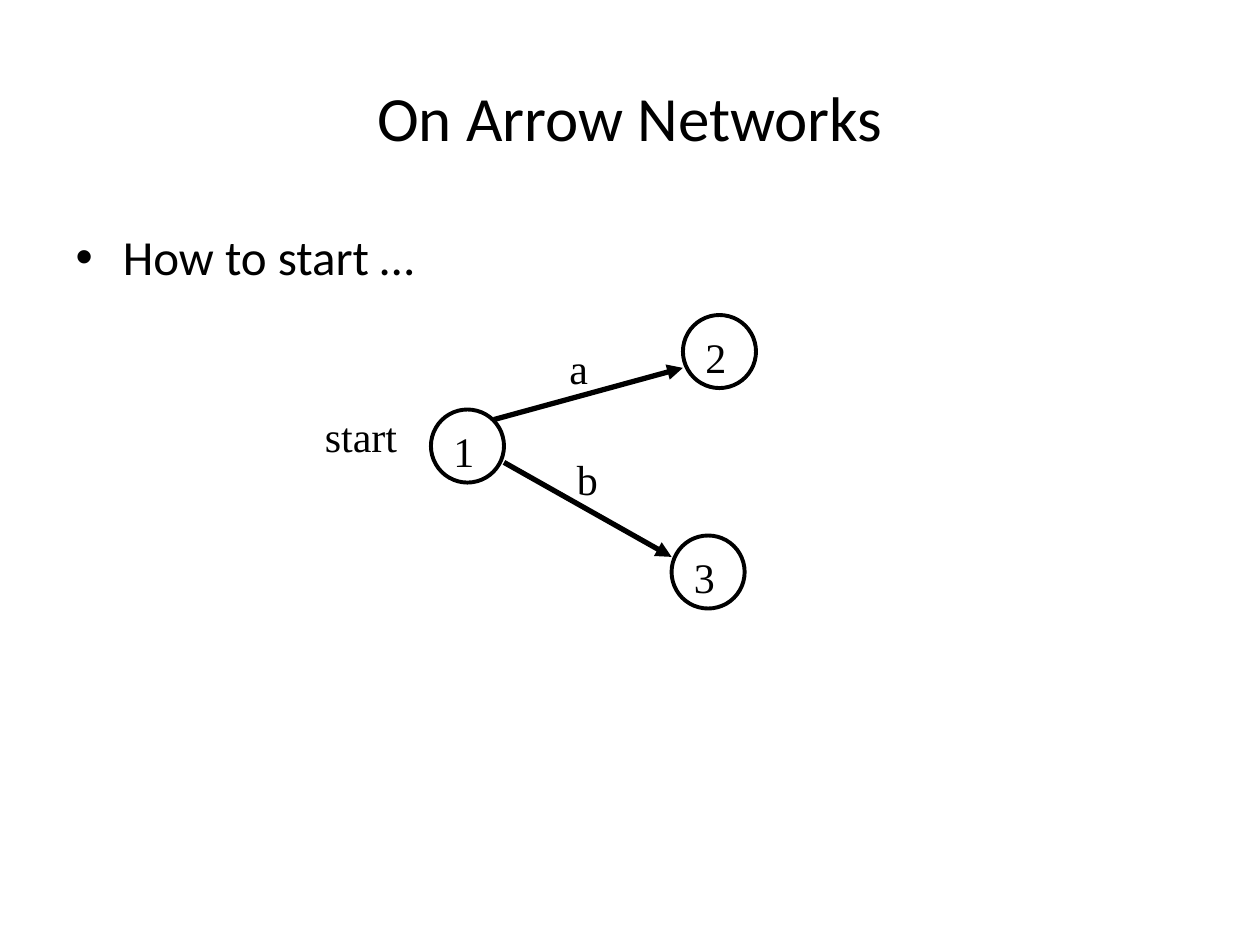
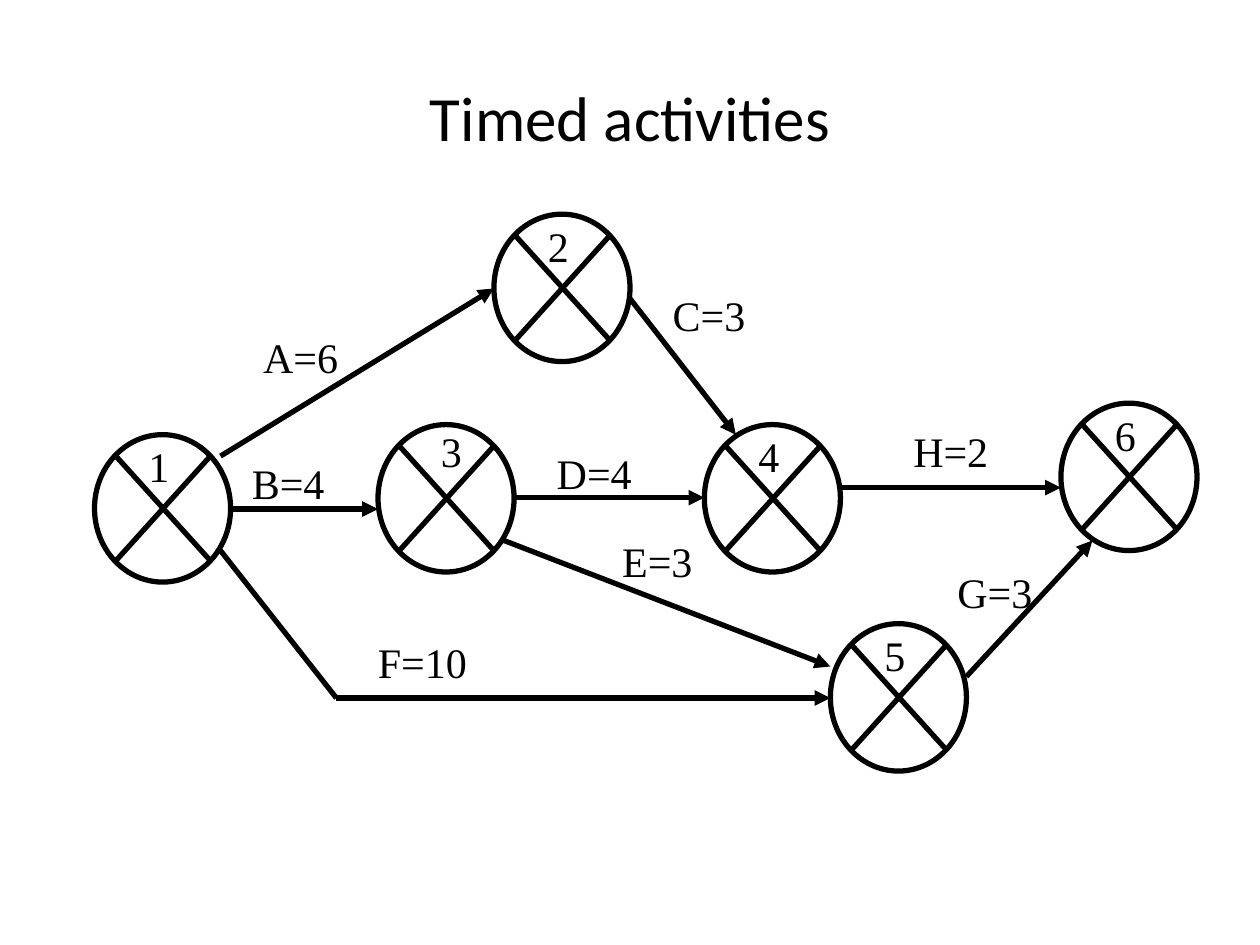
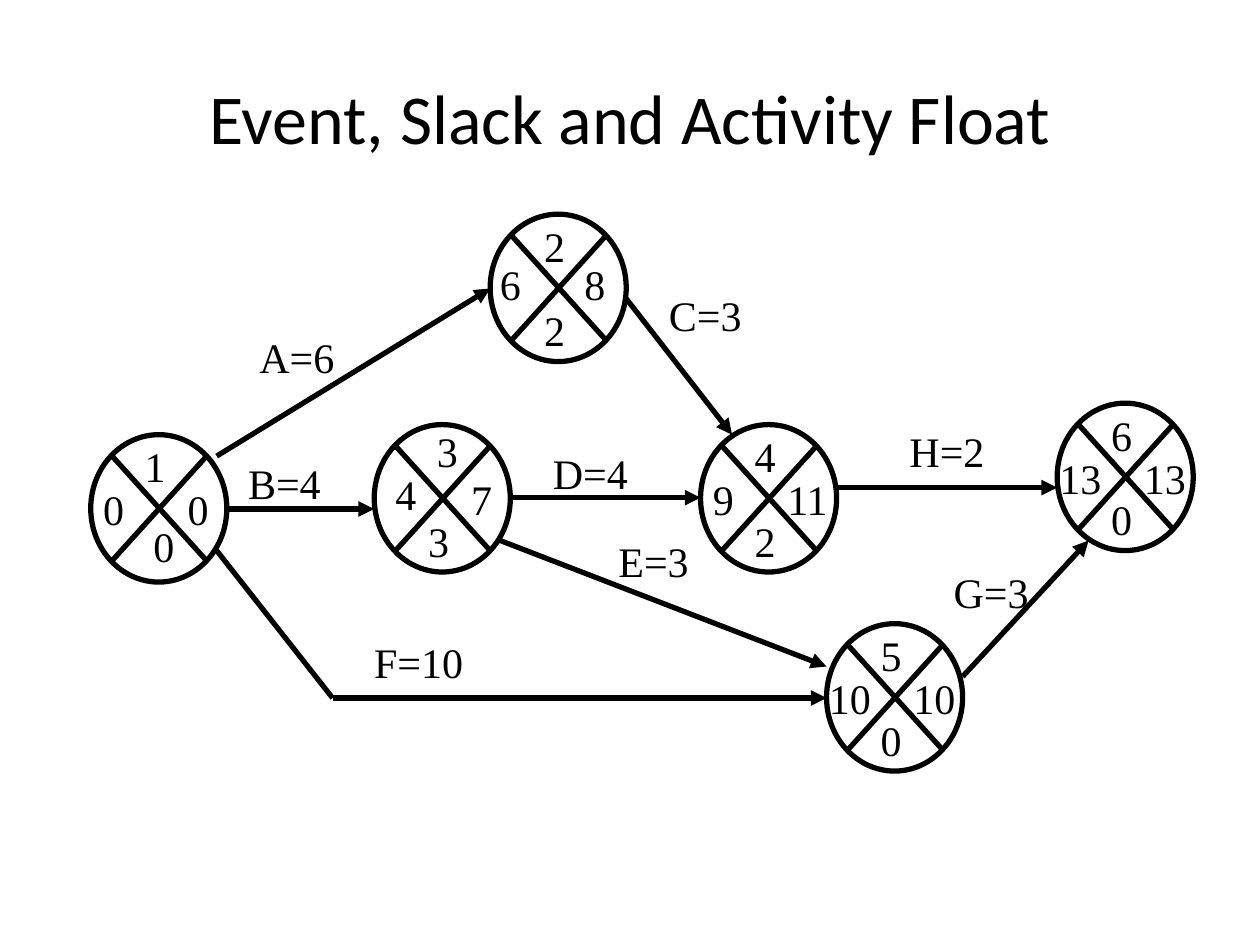
from dataclasses import dataclass

from pptx import Presentation
from pptx.dml.color import RGBColor
from pptx.enum.shapes import MSO_CONNECTOR as Connector, MSO_SHAPE as Shape
from pptx.enum.text import MSO_ANCHOR as Anchor, MSO_AUTO_SIZE as AutoSize, PP_ALIGN as Align
from pptx.oxml.ns import qn
from pptx.util import Emu, Pt

SCALE = 9144
INK = "000000"
TITLE_FONT = "Calibri"
DIAGRAM_FONT = "Times New Roman"
BULLET_LAYOUT, TITLE_LAYOUT = 1, 5
TITLE_BOX = (50, 30, 900, 125)
BODY_BOX = (50, 175, 900, 495)
LABEL_HEIGHT = 50
DIGIT_WIDTHS = {1: 37, 2: 53}


@dataclass
class Activity:
    """A labelled arrow that runs through its points."""
    label: str
    place: tuple
    width: int
    points: list


START_EVENTS = {"1": (94, 75), "2": (294, 0), "3": (285, 175)}
START_ACTIVITIES = [
    Activity("a", (194, 17), 35, [(144, 83), (294, 42)]),
    Activity("b", (200, 105), 37, [(152, 117), (285, 192)]),
]

TIMED_EVENTS = {
    "1": (0, 175), "2": (317, 0), "3": (225, 167),
    "4": (484, 167), "5": (584, 325), "6": (767, 150),
}
TIMED_ACTIVITIES = [
    Activity("A=6", (124, 88), 80, [(100, 192), (317, 59)]),
    Activity("B=4", (115, 188), 78, [(109, 234), (225, 234)]),
    Activity("D=4", (357, 180), 80, [(334, 225), (484, 225)]),
    Activity("C=3", (449, 55), 78, [(425, 67), (509, 175)]),
    Activity("E=3", (409, 250), 76, [(325, 259), (584, 359)]),
    Activity("F=10", (215, 330), 91, [(100, 267), (192, 384), (584, 384)]),
    Activity("H=2", (640, 163), 80, [(592, 217), (767, 217)]),
    Activity("G=3", (675, 275), 80, [(692, 367), (792, 259)]),
]

SLOTS = {"number": (51, 0), "early": (18, 34), "late": (85, 34), "slack": (51, 67)}
NUDGES = {
    ("3", "number"): (7, -4), ("3", "early"): (7, -4), ("1", "slack"): (7, -4),
    ("2", "early"): (-2, -4), ("2", "late"): (-2, -4),
}
EVENT_TIMES = {
    "1": {"early": "0", "late": "0", "slack": "0"},
    "2": {"early": "6", "late": "8", "slack": "2"},
    "3": {"early": "4", "late": "7", "slack": "3"},
    "4": {"early": "9", "late": "11", "slack": "2"},
    "5": {"early": "10", "late": "10", "slack": "0"},
    "6": {"early": "13", "late": "13", "slack": "0"},
}


def px(*lengths):
    """Turn px lengths into EMU."""
    return [Emu(length * SCALE) for length in lengths]


def shift(origin, offset):
    """Move a point by an offset."""
    return origin[0] + offset[0], origin[1] + offset[1]


def color(value):
    """Turn a hex string into a colour."""
    return RGBColor.from_string(value)


def write(frame, text, size=24, font=DIAGRAM_FONT, ink=INK, align=Align.LEFT):
    """Fill a text frame with one formatted paragraph."""
    para = frame.paragraphs[0]
    para.alignment = align
    para.space_before = Pt(0)
    span = para.add_run()
    span.text = text
    span.font.size = Pt(size)
    span.font.name = font
    span.font.color.rgb = color(ink)


def fill_placeholder(holder, box, text, **style):
    """Place a placeholder and write its text."""
    holder.left, holder.top, holder.width, holder.height = px(*box)
    write(holder.text_frame, text, font=TITLE_FONT, **style)


def add_page(deck, title, size=36, layout=TITLE_LAYOUT):
    """Add a slide with the shared title style."""
    page = deck.slides.add_slide(deck.slide_layouts[layout])
    fill_placeholder(page.shapes.title, TITLE_BOX, title, size=size, align=Align.CENTER)
    page.shapes.title.text_frame.vertical_anchor = Anchor.MIDDLE
    return page


def add_label(shapes, place, width, text):
    """Add a one-line diagram label with spare room on its right."""
    frame = shapes.add_textbox(*px(*place, width, LABEL_HEIGHT)).text_frame
    frame.word_wrap = False
    frame.auto_size = AutoSize.SHAPE_TO_FIT_TEXT
    frame.margin_right = 0
    write(frame, text)


def add_ring(shapes, place, size, weight):
    """Add an unfilled ellipse."""
    ring = shapes.add_shape(Shape.OVAL, *px(*place, *size))
    ring.shadow.inherit = False
    ring.fill.background()
    ring.line.color.rgb = color(INK)
    ring.line.width = Pt(weight)


def add_line(shapes, start, end, arrow=False):
    """Add a straight line, with an arrowhead at its end if asked."""
    line = shapes.add_connector(Connector.STRAIGHT, *px(*start, *end))
    line.line.color.rgb = color(INK)
    line.line.width = Pt(3)
    properties = line._element.spPr
    if arrow:
        outline = properties.find(qn("a:ln"))
        outline.append(outline.makeelement(qn("a:tailEnd"), {"type": "triangle"}))
    properties.append(properties.makeelement(qn("a:effectLst"), {}))


def add_activities(shapes, origin, activities):
    """Draw the arrows of a network and their labels."""
    for activity in activities:
        points = [shift(origin, point) for point in activity.points]
        for start, end in zip(points, points[1:]):
            add_line(shapes, start, end, arrow=end == points[-1])
        add_label(shapes, shift(origin, activity.place), activity.width, activity.label)


def add_start_network(page, origin):
    """Draw the opening network of plain numbered events."""
    shapes = page.shapes.add_group_shape().shapes
    for number, offset in START_EVENTS.items():
        place = shift(origin, offset)
        add_ring(shapes, place, (58, 58), 2.25)
        add_label(shapes, shift(place, (8, 8)), DIGIT_WIDTHS[1], number)
    add_activities(shapes, origin, START_ACTIVITIES)
    add_label(shapes, shift(origin, (0, 71)), 78, "start")


def add_event(shapes, place, number, times):
    """Draw a crossed event and the values in its quarters."""
    add_ring(shapes, place, (108, 117), 3)
    add_line(shapes, shift(place, (17, 17)), shift(place, (92, 100)))
    add_line(shapes, shift(place, (92, 17)), shift(place, (17, 100)))
    for slot, value in {"number": number, **times}.items():
        center, top = shift(SLOTS[slot], NUDGES.get((number, slot), (0, 0)))
        width = DIGIT_WIDTHS[len(value)]
        add_label(shapes, shift(place, (center - width // 2, top)), width, value)


def add_timed_network(page, origin, event_times):
    """Draw the timed network, with event times where given."""
    shapes = page.shapes.add_group_shape().shapes
    for number, offset in TIMED_EVENTS.items():
        add_event(shapes, shift(origin, offset), number, event_times.get(number, {}))
    add_activities(shapes, origin, TIMED_ACTIVITIES)


def main():
    """Build and save the deck."""
    deck = Presentation()
    deck.slide_width, deck.slide_height = px(1000, 750)

    page = add_page(deck, "On Arrow Networks", layout=BULLET_LAYOUT)
    fill_placeholder(page.placeholders[1], BODY_BOX, "How to start …", size=28)
    add_start_network(page, (248, 250))

    page = add_page(deck, "Timed activities")
    add_timed_network(page, (75, 170), {})

    page = add_page(deck, "Event, Slack and Activity Float", size=40)
    add_timed_network(page, (72, 170), EVENT_TIMES)

    deck.save("out.pptx")


if __name__ == "__main__":
    main()
